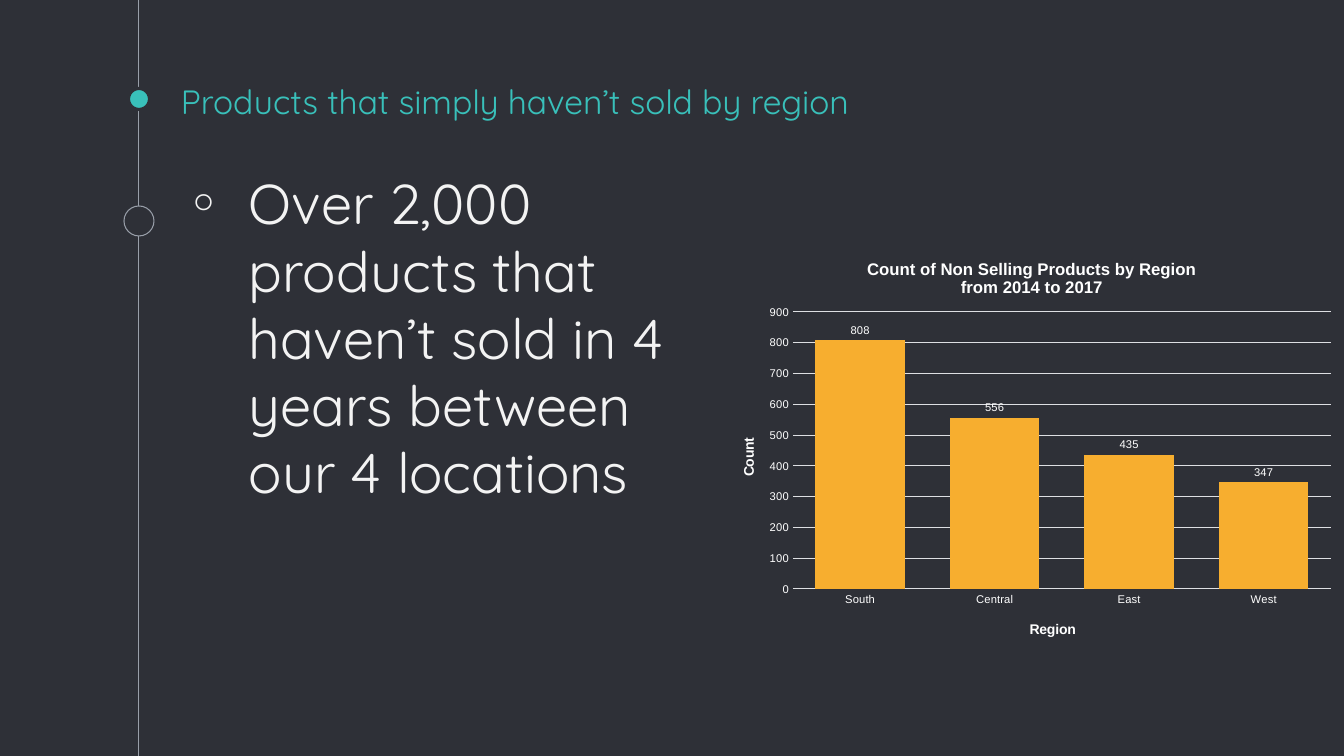
import dataclasses
import typing

import lxml.etree
import pptx
import pptx.chart.data
import pptx.dml.color
import pptx.enum.chart
import pptx.enum.shapes
import pptx.enum.text
import pptx.oxml
import pptx.oxml.ns
import pptx.util

RGBColor = pptx.dml.color.RGBColor
BACKGROUND = RGBColor(0x2E, 0x30, 0x37)
TEAL = RGBColor(0x39, 0xC0, 0xBA)
GRAY = RGBColor(0x99, 0x9F, 0xA9)
OFF_WHITE = RGBColor(0xF3, 0xF3, 0xF3)
WHITE = RGBColor(0xFF, 0xFF, 0xFF)
GRID = RGBColor(0xDE, 0xDF, 0xE3)
AMBER = RGBColor(0xF7, 0xAE, 0x2F)

SLIDE_WIDTH, SLIDE_HEIGHT = 1344, 756
EMU_PER_PIXEL = 12192000 / SLIDE_WIDTH
TIMELINE_X = 139
TEXT_INSET = 10


@dataclasses.dataclass(frozen=True)
class Box:
    """A rectangle in pixels."""
    left: int
    top: int
    width: int
    height: int


@dataclasses.dataclass(frozen=True)
class Marker:
    """A circle centred on the timeline."""
    center_y: int
    diameter: int
    fill: RGBColor
    line: RGBColor
    line_width: float


@dataclasses.dataclass(frozen=True)
class TextBlock:
    """A text box with one paragraph."""
    box: Box
    text: str
    size: int
    color: RGBColor
    anchor: pptx.enum.text.MSO_ANCHOR
    bullet: str = ""


MARKERS = (
    Marker(99, 21, TEAL, BACKGROUND, 2.25),
    Marker(221, 30, BACKGROUND, GRAY, 0.75),
)
TEXT_BLOCKS = (
    TextBlock(Box(171, 81, 1008, 50), "Products that simply haven’t sold by region",
              24, TEAL, pptx.enum.text.MSO_ANCHOR.BOTTOM),
    TextBlock(Box(171, 159, 543, 547),
              "Over 2,000 products that haven’t sold in 4 years between our 4 locations",
              40, OFF_WHITE, pptx.enum.text.MSO_ANCHOR.TOP, "◦"),
)
CHART_BOX = Box(715, 238, 629, 417)
PLOT_BOX = Box(793, 312, 538, 277)
COUNTS = {"South": 808, "Central": 556, "East": 435, "West": 347}


def px(pixels: float) -> int:
    """Turn pixels into EMU."""
    return pptx.util.Emu(round(pixels * EMU_PER_PIXEL))


def place(box: Box) -> tuple[int, ...]:
    """Give left, top, width and height in EMU."""
    return tuple(px(value) for value in dataclasses.astuple(box))


def apply_format(target: typing.Any, values: dict[str, typing.Any]) -> None:
    """Set each named attribute; a dotted name reaches into a child object."""
    for name, value in values.items():
        *parents, attribute = name.split(".")
        owner = target
        for parent in parents:
            owner = getattr(owner, parent)
        setattr(owner, attribute, value)


def font_format(size: float, color: RGBColor, name: str = "Arial",
                bold: bool = False) -> dict[str, typing.Any]:
    """Describe a font."""
    return {"size": pptx.util.Pt(size), "name": name, "bold": bold, "color.rgb": color}


def draw_timeline(slide: typing.Any) -> None:
    """Draw the vertical line down the slide."""
    line = slide.shapes.add_connector(
        pptx.enum.shapes.MSO_CONNECTOR.STRAIGHT,
        px(TIMELINE_X), 0, px(TIMELINE_X), px(SLIDE_HEIGHT))
    apply_format(line.line, {"color.rgb": GRAY, "width": pptx.util.Pt(0.75)})
    lxml.etree.SubElement(line._element.spPr, pptx.oxml.ns.qn("a:effectLst"))


def draw_marker(slide: typing.Any, marker: Marker) -> None:
    """Draw one circle on the timeline."""
    radius = marker.diameter / 2
    shape = slide.shapes.add_shape(
        pptx.enum.shapes.MSO_SHAPE.OVAL, px(TIMELINE_X - radius),
        px(marker.center_y - radius), px(marker.diameter), px(marker.diameter))
    shape.fill.solid()
    apply_format(shape, {
        "shadow.inherit": False, "fill.fore_color.rgb": marker.fill,
        "line.color.rgb": marker.line, "line.width": pptx.util.Pt(marker.line_width)})


def draw_text(slide: typing.Any, block: TextBlock) -> None:
    """Draw a text box, with a hanging bullet if it has one."""
    frame = slide.shapes.add_textbox(*place(block.box)).text_frame
    apply_format(frame, {"word_wrap": True, "vertical_anchor": block.anchor})
    apply_format(frame, {f"margin_{side}": px(TEXT_INSET)
                         for side in ("left", "top", "right", "bottom")})
    paragraph = frame.paragraphs[0]
    run = paragraph.add_run()
    run.text = block.text
    apply_format(run.font, font_format(block.size, block.color, "Quicksand"))
    if block.bullet:
        paragraph.space_before = pptx.util.Pt(8)
        properties = paragraph._p.get_or_add_pPr()
        properties.set("marL", str(px(68)))
        properties.set("indent", str(px(-61)))
        color = lxml.etree.SubElement(properties, pptx.oxml.ns.qn("a:buClr"))
        lxml.etree.SubElement(color, pptx.oxml.ns.qn("a:srgbClr"), val=str(block.color))
        lxml.etree.SubElement(properties, pptx.oxml.ns.qn("a:buFont"), typeface="Quicksand")
        lxml.etree.SubElement(properties, pptx.oxml.ns.qn("a:buChar"), char=block.bullet)


def set_layout(element: typing.Any, index: int, left: int, top: int,
               size: tuple[int, int] | None = None) -> None:
    """Fix a chart part at slide pixels, as fractions of the chart frame."""
    for old in element.findall(pptx.oxml.ns.qn("c:layout")):
        element.remove(old)
    values = {"xMode": "edge", "yMode": "edge",
              "x": round((left - CHART_BOX.left) / CHART_BOX.width, 4),
              "y": round((top - CHART_BOX.top) / CHART_BOX.height, 4)}
    if size:
        values = {"layoutTarget": "inner", **values,
                  "w": round(size[0] / CHART_BOX.width, 4),
                  "h": round(size[1] / CHART_BOX.height, 4)}
    layout = pptx.oxml.parse_xml(f"<c:layout {pptx.oxml.ns.nsdecls('c')}/>")
    manual = lxml.etree.SubElement(layout, pptx.oxml.ns.qn("c:manualLayout"))
    for name, value in values.items():
        lxml.etree.SubElement(manual, pptx.oxml.ns.qn(f"c:{name}"), val=str(value))
    element.insert(index, layout)


def set_title(title: typing.Any, text: str, size: int, left: int, top: int,
              rotation: int = 0) -> None:
    """Write a chart or axis title and fix its place."""
    title.text_frame.text = text
    for paragraph in title.text_frame.paragraphs:
        for run in paragraph.runs:
            apply_format(run.font, font_format(size, WHITE, bold=True))
    body = next(title._element.iter(pptx.oxml.ns.qn("a:bodyPr")))
    body.set("rot", str(rotation * 60000))
    set_layout(title._element, 1, left, top)


def draw_chart(slide: typing.Any) -> None:
    """Draw the column chart of unsold products."""
    data = pptx.chart.data.CategoryChartData()
    data.categories = list(COUNTS)
    data.add_series("Series 1", list(COUNTS.values()))
    chart = slide.shapes.add_chart(
        pptx.enum.chart.XL_CHART_TYPE.COLUMN_CLUSTERED, *place(CHART_BOX), data).chart
    apply_format(chart, {"has_legend": False, "has_title": True})
    apply_format(chart.font, font_format(8, WHITE))
    set_title(chart.chart_title, "Count of Non Selling Products by Region\nfrom 2014 to 2017",
              12, 864, 256)
    for axis in (chart.category_axis, chart.value_axis):
        apply_format(axis, {"major_tick_mark": pptx.enum.chart.XL_TICK_MARK.NONE,
                            "minor_tick_mark": pptx.enum.chart.XL_TICK_MARK.NONE})
        apply_format(axis.tick_labels.font, font_format(8, WHITE))
    set_title(chart.category_axis.axis_title, "Region", 10, 1027, 618)
    set_title(chart.value_axis.axis_title, "Count", 10, 737, 435, -90)
    apply_format(chart.value_axis, {"minimum_scale": 0, "maximum_scale": 900,
                                    "major_unit": 100, "has_major_gridlines": True})
    chart.value_axis.format.line.fill.background()
    for lines in (chart.category_axis, chart.value_axis.major_gridlines):
        apply_format(lines.format.line, {"color.rgb": GRID, "width": pptx.util.Pt(0.75)})
    plot = chart.plots[0]
    apply_format(plot, {"gap_width": 50, "overlap": -27, "vary_by_categories": False})
    series = plot.series[0]
    series.format.fill.solid()
    series.format.fill.fore_color.rgb = AMBER
    apply_format(series.data_labels, {
        "show_value": True, "position": pptx.enum.chart.XL_LABEL_POSITION.OUTSIDE_END})
    apply_format(series.data_labels.font, font_format(8, WHITE))
    plot_area = next(chart._chartSpace.iter(pptx.oxml.ns.qn("c:plotArea")))
    set_layout(plot_area, 0, PLOT_BOX.left, PLOT_BOX.top, (PLOT_BOX.width, PLOT_BOX.height))


def main() -> None:
    """Build and save the slide."""
    presentation = pptx.Presentation()
    apply_format(presentation, {"slide_width": px(SLIDE_WIDTH), "slide_height": px(SLIDE_HEIGHT)})
    slide = presentation.slides.add_slide(presentation.slide_layouts[6])
    slide.background.fill.solid()
    slide.background.fill.fore_color.rgb = BACKGROUND
    draw_timeline(slide)
    for marker in MARKERS:
        draw_marker(slide, marker)
    for block in TEXT_BLOCKS:
        draw_text(slide, block)
    draw_chart(slide)
    presentation.save("out.pptx")


main()
